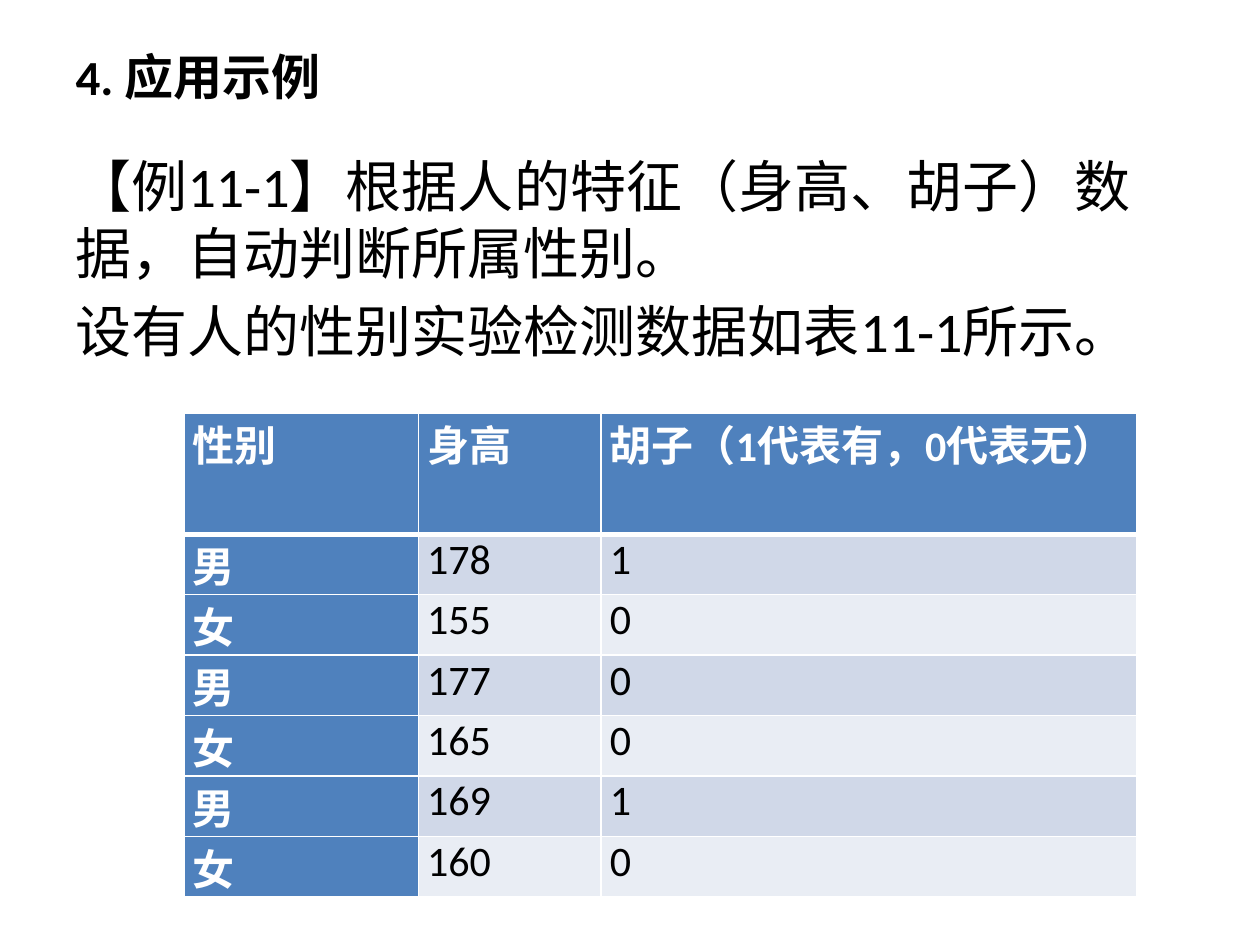
from pptx import Presentation
from pptx.dml.color import RGBColor
from pptx.enum.text import MSO_ANCHOR, PP_ALIGN
from pptx.oxml.ns import qn
from pptx.util import Inches, Pt
from lxml.etree import SubElement

COLORS = {"ink": "000000", "white": "FFFFFF", "head": "4F81BD",
          "odd": "D0D8E8", "even": "E9EDF4"}
HEADS = ["性别", "身高", "胡子（1代表有，0代表无）"]
PEOPLE = [("男", 178, 1), ("女", 155, 0), ("男", 177, 0),
          ("女", 165, 0), ("男", 169, 1), ("女", 160, 0)]
BODY = ["【例11-1】根据人的特征（身高、胡子）数据，自动判断所属性别。",
        "设有人的性别实验检测数据如表11-1所示。"]
COLS = [1.86, 1.45, 4.25]
LINE = 0.48  # height of one line of table text
ROWS = [2 * LINE] + [LINE] * len(PEOPLE)


def style(para, size, color, bold=False):
    font = para.font
    font.name, font.size, font.bold = "Calibri", Pt(size), bold
    font.color.rgb = RGBColor.from_string(COLORS[color])


def edge(cell, base):
    """Draw white 1 pt cell borders, with the bottom one base points wide."""
    props = cell._tc.get_or_add_tcPr()
    for side, width in zip("LRTB", (1, 1, 1, base)):
        line = SubElement(props, qn(f"a:ln{side}"), w=str(Pt(width)))
        fill = SubElement(line, qn("a:solidFill"))
        SubElement(fill, qn("a:srgbClr"), val=COLORS["white"])


deck = Presentation()
deck.slide_width, deck.slide_height = Inches(10), Inches(7.5)
slide = deck.slides.add_slide(deck.slide_layouts[5])
left, wide = int(deck.slide_width * 0.05), int(deck.slide_width * 0.9)

title = slide.shapes.title
title.left, title.width = left, wide
title.top, title.height = Inches(0.3), Inches(0.61)
title.text_frame.text = "4. 应用示例"
title.text_frame.vertical_anchor = MSO_ANCHOR.MIDDLE
para = title.text_frame.paragraphs[0]
para.alignment = PP_ALIGN.LEFT
style(para, 28, "ink", True)

box = slide.shapes.add_textbox(left, Inches(1.15), wide, Inches(5.55))
frame = box.text_frame
frame.word_wrap = True
frame.text = "\n".join(BODY)
for para in frame.paragraphs:
    para.space_before = Pt(6.4)
    style(para, 32, "ink")

table = slide.shapes.add_table(
    len(ROWS), len(COLS), Inches(1.46), Inches(3.28),
    Inches(sum(COLS)), Inches(sum(ROWS))).table
table.first_col = True
for col, width in zip(table.columns, COLS):
    col.width = Inches(width)
for r, row in enumerate([HEADS] + PEOPLE):
    table.rows[r].height = Inches(ROWS[r])
    for c, value in enumerate(row):
        cell = table.cell(r, c)
        label = r == 0 or c == 0
        cell.text = str(value)
        cell.margin_left = cell.margin_right = Inches(0.07)
        cell.margin_top = cell.margin_bottom = 0
        edge(cell, 3 if r == 0 else 1)
        shade = "head" if label else "odd" if r % 2 else "even"
        cell.fill.solid()
        cell.fill.fore_color.rgb = RGBColor.from_string(COLORS[shade])
        para = cell.text_frame.paragraphs[0]
        para.alignment = PP_ALIGN.JUSTIFY
        style(para, 24, "white" if label else "ink", label)

deck.save("out.pptx")
